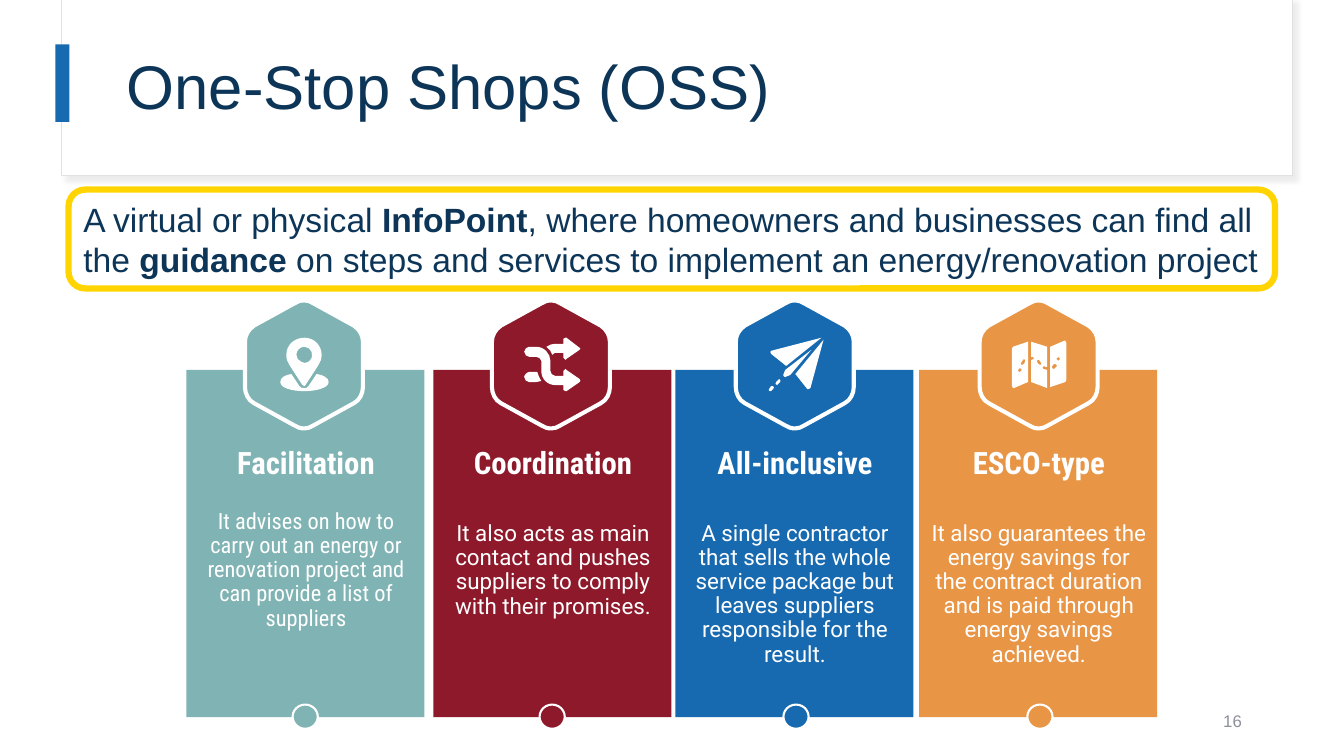
"""Build the One-Stop Shops slide with four service model cards."""
from lxml import etree
from pptx import Presentation
from pptx.dml.color import RGBColor
from pptx.enum.shapes import MSO_SHAPE as SHAPE
from pptx.enum.text import MSO_ANCHOR as ANCHOR, PP_ALIGN as ALIGN
from pptx.oxml import parse_xml
from pptx.oxml.ns import nsdecls, qn
from pptx.util import Pt

NAVY, WHITE, YELLOW, BLUE = "0C3558", "FFFFFF", "FFD400", "176AB0"
TITLE = "One-Stop Shops (OSS)"
BANNER = [
    ("A virtual or physical ", False),
    ("InfoPoint", True),
    (", where homeowners and businesses can find all the ", False),
    ("guidance", True),
    (" on steps and services to implement an energy/renovation project", False),
]
PAGE = "16"

# Each outline is a list of contours; a segment of two numbers is a line, of six a curve.
HEXAGON = [
    "59 0, 55 0 52 1 49 3, 9 25, 3 29 0 35 0 41, 0 86, 0 92 3 99 9 102, 49 124, "
    "52 126 55 127 59 127, 62 127 65 126 68 124, 108 102, 114 99 117 92 117 86, "
    "117 41, 117 35 114 29 108 25, 68 3, 65 1 62 0 59 0",
]
PIN = [
    ["59 46, 62 46 65 48 66 51, 67 54 67 57 64 60, 63 61 61 62 59 62, 56 61, "
     "53 60 51 57 51 54, 51 50 54 46 59 46",
     "59 37, 49 37 41 44 41 54, 41 58 42 61 44 64, 57 84, 59 85, 60 84, 73 64, "
     "75 61 76 58 76 54, 76 45 69 37 59 37"],
    ["46 73, 39 74 35 77 35 81, 35 87 47 90 59 90, 70 90 83 87 83 81, "
     "83 77 78 74 71 73, 63 85, 62 87 60 87 59 87, 57 87 55 87 54 85"],
]
CROSSING_ARROWS = [
    ["37 46, 35 46 32 48 32 51, 32 54 35 56 37 56, 44 56, 46 56 49 58 49 60, 49 70, "
     "49 78 55 84 63 84, 71 84, 71 89, 73 90, 74 90, 87 81, 88 80 88 79 87 78, "
     "74 69, 73 68, 71 70, 71 75, 63 75, 60 75 58 72 58 70, 58 60, 58 53 52 46 44 46"],
    ["45 71, 37 71, 35 71 32 74 32 76, 32 79 35 81 37 81, 44 81, 49 80, "
     "47 77 46 74 45 71"],
    ["73 37, 71 38, 71 43, 63 43, 60 43 57 44 54 46, 57 48 59 51 60 54, "
     "61 53 62 52 63 52, 71 52, 71 57, 73 59, 74 58, 87 49, 88 48 88 47 87 47, 74 37"],
]
PAPER_PLANE = [
    ["36 85, 35 85, 33 88, 32 89 33 90 34 90, 35 90, 37 88, 38 87 38 86 37 85"],
    ["43 78, 42 79, 40 81, 38 82 40 84 41 84, 42 83, 44 81, 45 80 44 78 43 78"],
    ["85 37, 35 50, 34 50 34 52 35 53, 50 65"],
    ["87 39, 59 73, 71 88, 72 88, 74 87"],
    ["75 49, 49 69, 47 74, 47 75 48 76 49 76, 54 74"],
]
FOLDED_MAP = [
    ["44 58, 45 58 46 60 45 61, 44 63, 42 64, 41 64 40 63 41 62, 43 59",
     "40 67, 42 69, 41 70, 40 71, 39 71 38 71 38 69, 39 68",
     "48 41, 33 46, 32 48, 32 85, 33 87, 34 87, 48 81"],
    ["58 59, 59 59, 61 62, 62 63 61 64 60 64, 58 63, 57 61, 56 60 57 59 58 59",
     "51 41, 51 56, 53 56, 55 56 54 59 52 59, 51 59, 51 81, 67 87, 67 69, "
     "63 68, 62 68 62 65 64 65, 65 66, 67 66, 67 46"],
    ["78 56, 80 58, 79 59, 78 60, 76 58, 77 57",
     "75 63, 77 65, 74 68, 73 68, 72 68 71 66 72 65, 74 63",
     "85 40, 84 40, 70 46, 70 86, 85 81, 86 79, 86 42"],
]
CARDS = [
    (133.2, 175, "80B3B3", PIN, "Facilitation", "Roboto Condensed", 377.3,
     "It advises on how to carry out an energy or renovation project and can provide a list of suppliers"),
    (309.6, 351.4, "8D192B", CROSSING_ARROWS, "Coordination", "Roboto", 377.3,
     "It also acts as main contact and pushes suppliers to comply with their promises."),
    (482.4, 525.6, BLUE, PAPER_PLANE, "All-inclusive", "Roboto", 394.4,
     "A single contractor that sells the whole service package but leaves suppliers responsible for the result."),
    (656.6, 699.8, "E89546", FOLDED_MAP, "ESCO-type", "Roboto", 394.4,
     "It also guarantees the energy savings for the contract duration and is paid through energy savings achieved."),
]
CARD_W, CARD_TOP, CARD_H, HEX_TOP = 170, 264.2, 248, 214.6
GRID = Pt(0.72)


def rgb(color):
    return RGBColor.from_string(color)


def paint(sp, fill, line=None, width=1):
    sp.shadow.inherit = False
    sp.fill.solid()
    sp.fill.fore_color.rgb = rgb(fill)
    if line:
        sp.line.color.rgb = rgb(line)
        sp.line.width = Pt(width)
    else:
        sp.line.fill.background()
    return sp


def add_box(shapes, kind, box, fill, line=None, width=1):
    return paint(shapes.add_shape(kind, *map(Pt, box)), fill, line, width)


def write(sp, runs, size, font="Arial", color=NAVY, align=ALIGN.LEFT, spacing=None,
          inset=None, after=None):
    tf = sp.text_frame
    tf.word_wrap = True
    tf.vertical_anchor = ANCHOR.MIDDLE
    if inset is not None:
        tf.margin_left = tf.margin_right = tf.margin_top = tf.margin_bottom = Pt(inset)
    p = tf.paragraphs[0]
    p.alignment = align
    if spacing:
        p.line_spacing = spacing
    if after:
        p.space_after = Pt(after)
    for text, bold in runs:
        r = p.add_run()
        r.text = text
        r.font.size, r.font.name, r.font.bold = Pt(size), font, bold
        r.font.color.rgb = rgb(color)


def add_outline(shapes, contours, left, top, fill, line=None, width=1):
    traced = [[[int(v) * GRID for v in segment.split()] for segment in contour.split(",")]
              for contour in contours]
    builder = shapes.build_freeform(*traced[0][0])
    for i, segments in enumerate(traced):
        if i:
            builder.move_to(*segments[0])
        builder.add_line_segments([n[-2:] for n in segments[1:]], close=True)
    sp = builder.convert_to_shape(Pt(left), Pt(top))
    drawn = [n for segments in traced for n in segments]
    min_x, min_y = min(n[-2] for n in drawn), min(n[-1] for n in drawn)
    for moved, segments in zip(sp._element.iter(qn("a:moveTo")), traced):
        step = moved
        for n in segments[1:]:
            step = step.getnext()
            if len(n) == 6:
                curve = etree.Element(qn("a:cubicBezTo"))
                for x, y in (n[:2], n[2:4], n[4:]):
                    etree.SubElement(curve, qn("a:pt"), x=str(x - min_x), y=str(y - min_y))
                step.getparent().replace(step, curve)
                step = curve
    return paint(sp, fill, line, width)


def add_card(slide, left, hex_left, color, icon, name, font, body_top, body):
    shapes = slide.shapes.add_group_shape().shapes
    add_box(shapes, SHAPE.RECTANGLE, (left, CARD_TOP, CARD_W, CARD_H), color)
    add_outline(shapes, HEXAGON, hex_left, HEX_TOP, color, WHITE, 2.93)
    for contours in icon:
        add_outline(shapes, contours, hex_left, HEX_TOP, WHITE)
    body_box = shapes.add_textbox(*map(Pt, (left + 0.4, body_top, CARD_W, 60.5)))
    write(body_box, [(body, False)], 16, font, WHITE, ALIGN.CENTER, 0.9, 7.2)
    name_box = shapes.add_textbox(*map(Pt, (left + 0.4, 305.3, CARD_W, 49)))
    write(name_box, [(name, True)], 22, "Roboto Condensed", WHITE, ALIGN.CENTER, inset=7.2)
    add_box(shapes, SHAPE.OVAL, (hex_left + 34, 503.3, 18, 17.3), color, WHITE, 1.5)


def main():
    prs = Presentation()
    prs.slide_width, prs.slide_height = Pt(960), Pt(540)
    s = prs.slides.add_slide(prs.slide_layouts[6])

    banner = add_box(s.shapes, SHAPE.ROUNDED_RECTANGLE, (49, 135.4, 861.8, 70.6),
                     WHITE, YELLOW, 4.5)
    write(banner, BANNER, 24, after=6)

    header = add_box(s.shapes, SHAPE.RECTANGLE, (44, 0, 879, 125.3), WHITE, "E1E1E1", 0.75)
    effects = header._element.spPr.find(qn("a:effectLst"))
    effects.append(parse_xml(
        f'<a:outerShdw {nsdecls("a")} blurRad="{Pt(4)}" dist="{Pt(3)}" dir="2700000">'
        '<a:srgbClr val="D9D9D9"><a:alpha val="50000"/></a:srgbClr></a:outerShdw>'))
    add_box(s.shapes, SHAPE.RECTANGLE, (44.6, 0, 878, 125), WHITE)
    add_box(s.shapes, SHAPE.RECTANGLE, (39.6, 31.7, 10, 55.5), BLUE)
    title = s.shapes.add_textbox(*map(Pt, (83.5, 17.3, 800.6, 92.9)))
    write(title, [(TITLE, False)], 44, spacing=0.9)

    for card in CARDS:
        add_card(s, *card)

    number = s.shapes.add_textbox(*map(Pt, (678.2, 500.4, 216, 28.8)))
    write(number, [(PAGE, False)], 12, color="8C909A", align=ALIGN.RIGHT)
    prs.save("out.pptx")


if __name__ == "__main__":
    main()
